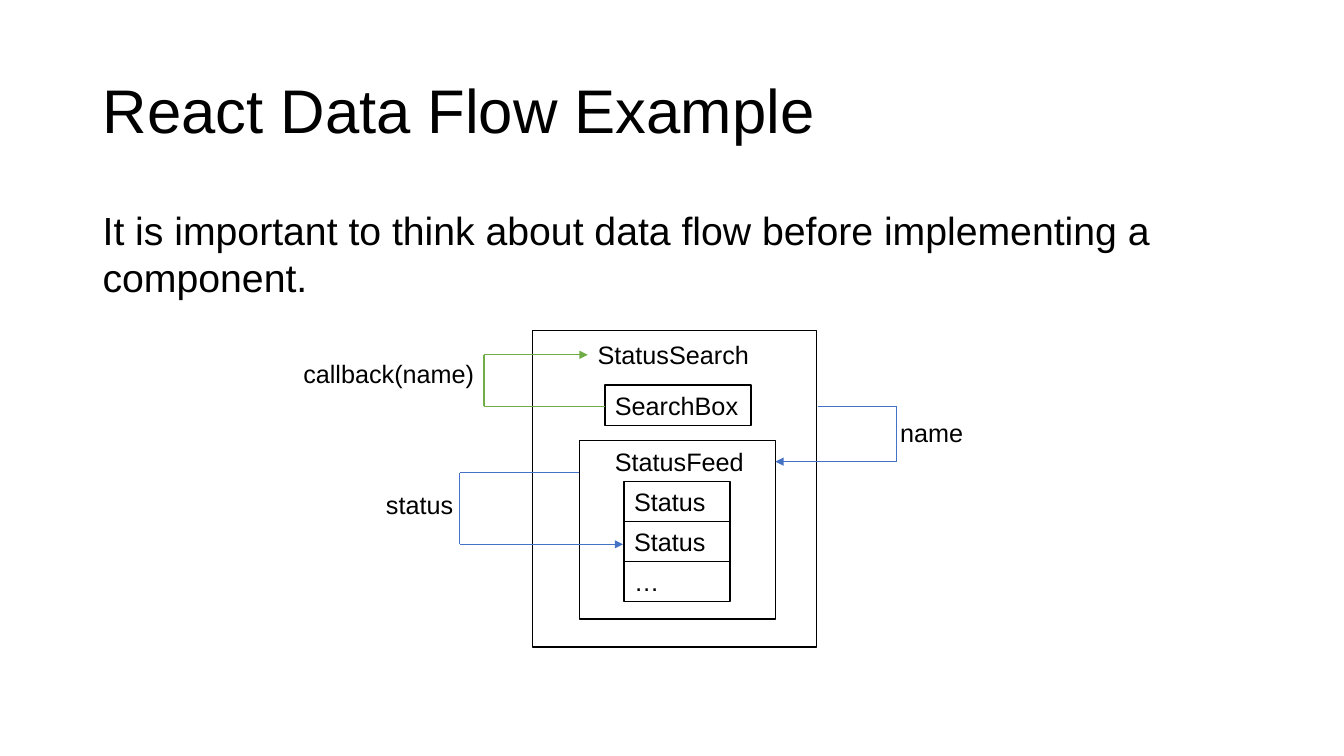
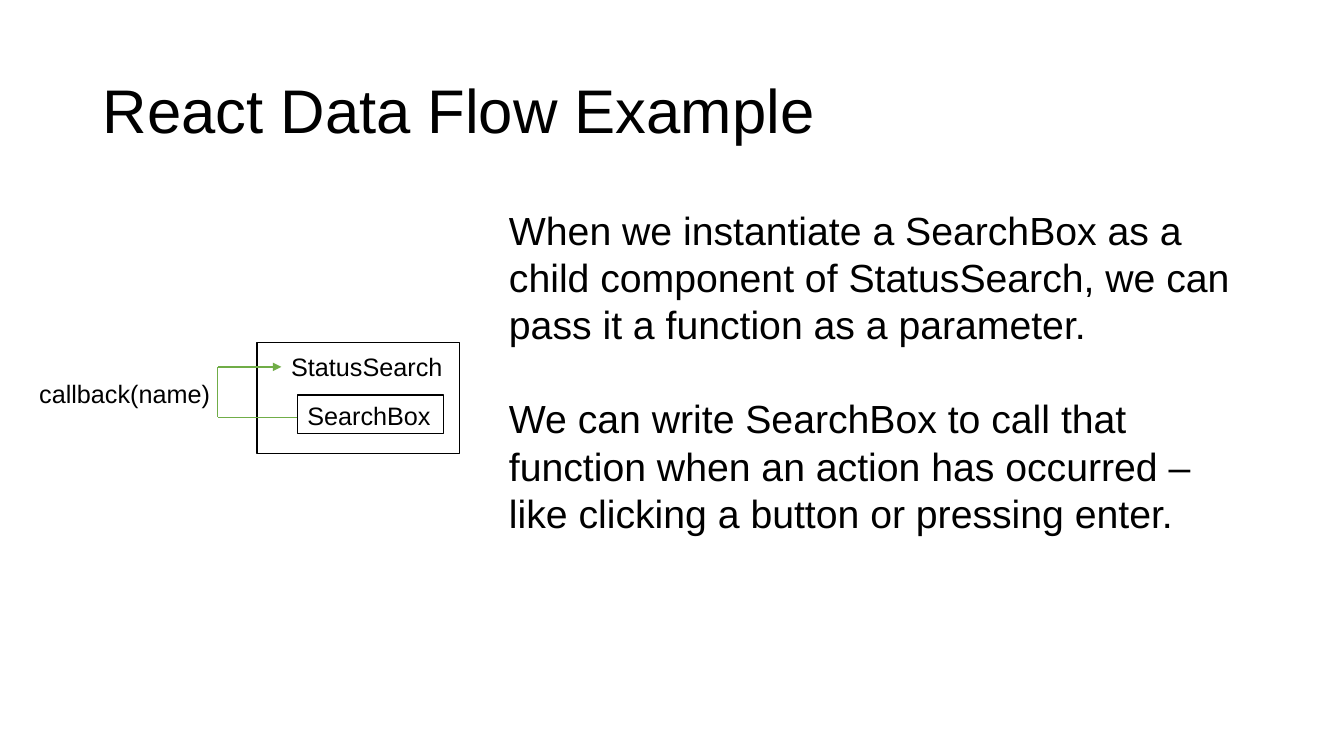
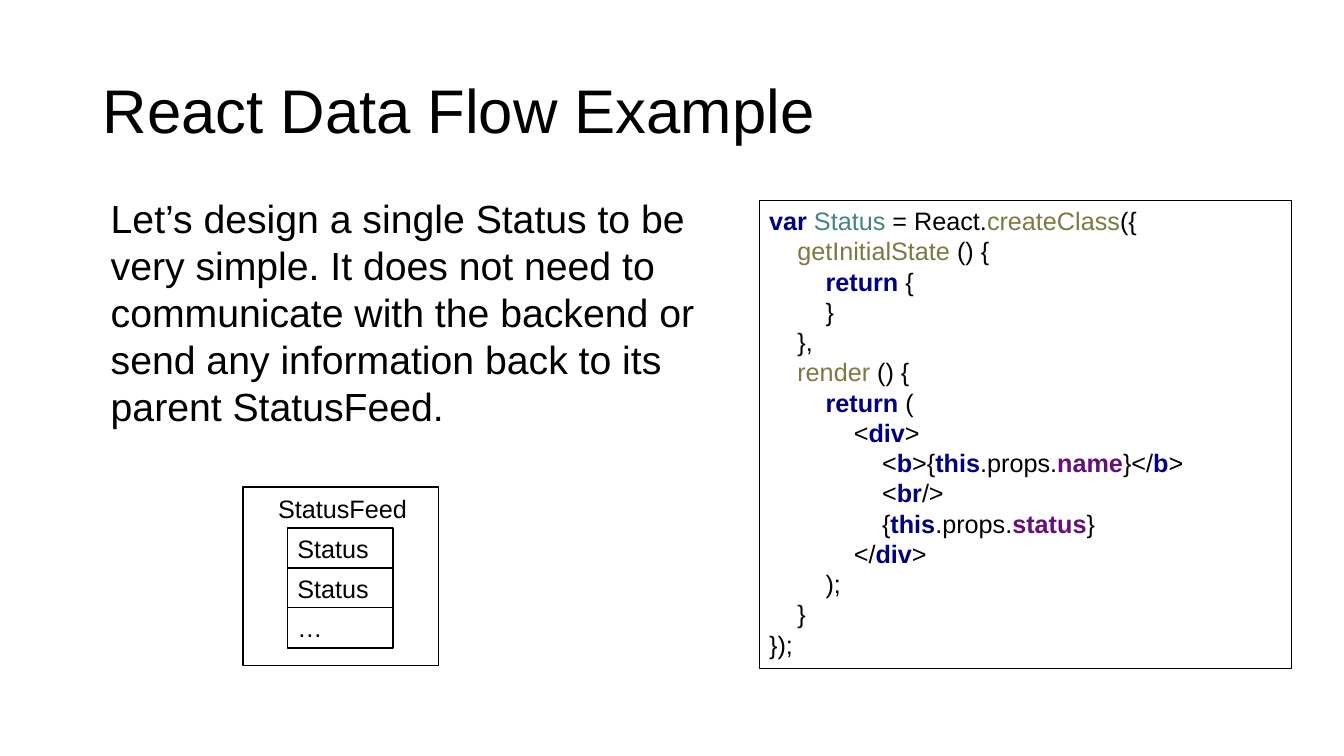
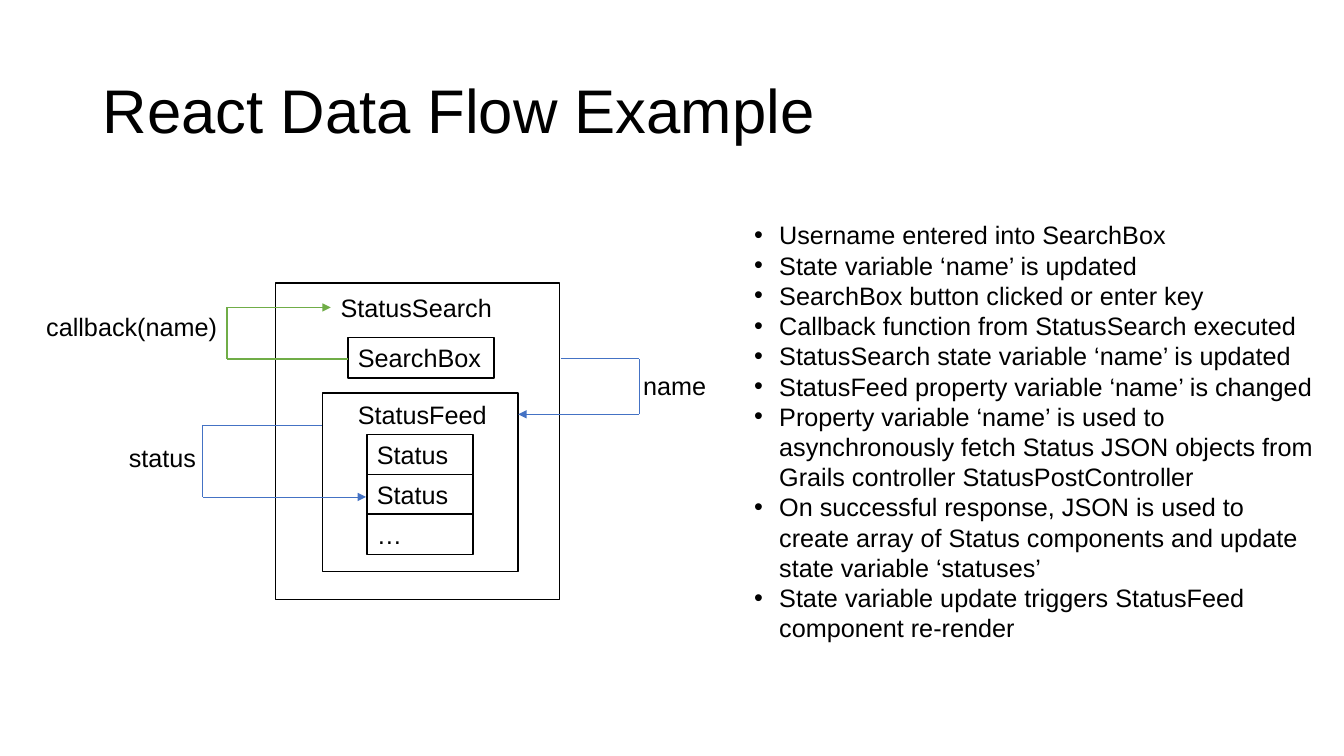
from lxml import etree
from pptx import Presentation
from pptx import util as u
from pptx.dml.color import RGBColor
from pptx.enum import shapes, text
from pptx.oxml import ns

FONT = "Arial"
BLACK, WHITE, BLUE, GREEN = "000000", "FFFFFF", "4472C4", "70AD47"
TITLE = "React Data Flow Example"
DATA_FLOW = ["It is important to think about data flow before implementing a component."]
CALLBACKS = [
    "When we instantiate a SearchBox as a child component of StatusSearch, we can pass it a function as a parameter.",
    "We can write SearchBox to call that function when an action has occurred – like clicking a button or pressing enter.",
]
SINGLE_STATUS = [
    "Let’s design a single Status to be very simple. It does not need to communicate with the backend "
    "or send any information back to its parent StatusFeed.",
]
STEPS = [
    "Username entered into SearchBox",
    "State variable ‘name’ is updated",
    "SearchBox button clicked or enter key",
    "Callback function from StatusSearch executed",
    "StatusSearch state variable ‘name’ is updated",
    "StatusFeed property variable ‘name’ is changed",
    "Property variable ‘name’ is used to asynchronously fetch Status JSON objects from Grails controller StatusPostController",
    "On successful response, JSON is used to create array of Status components and update state variable ‘statuses’",
    "State variable update triggers StatusFeed component re-render",
]
FEED_ROWS = ["Status", "Status", "…"]

SYNTAX = {
    "plain": (BLACK, False),
    "keyword": ("000080", True),
    "class": ("458383", False),
    "function": ("7A7A43", False),
    "property": ("660E7A", True),
}
CODE = [
    (0, [("var ", "keyword"), ("Status ", "class"), ("= React.", "plain"), ("createClass", "function"), ("({", "plain")]),
    (1, [("getInitialState ", "function"), ("() {", "plain")]),
    (2, [("return ", "keyword"), ("{", "plain")]),
    (2, [("}", "plain")]),
    (1, [("},", "plain")]),
    (1, [("render ", "function"), ("() {", "plain")]),
    (2, [("return ", "keyword"), ("(", "plain")]),
    (3, [("<", "plain"), ("div", "keyword"), (">", "plain")]),
    (4, [("<", "plain"), ("b", "keyword"), (">{", "plain"), ("this", "keyword"), (".props.", "plain"),
         ("name", "property"), ("}</", "plain"), ("b", "keyword"), (">", "plain")]),
    (4, [("<", "plain"), ("br", "keyword"), ("/>", "plain")]),
    (4, [("{", "plain"), ("this", "keyword"), (".props.", "plain"), ("status", "property"), ("}", "plain")]),
    (3, [("</", "plain"), ("div", "keyword"), (">", "plain")]),
    (2, [(");", "plain")]),
    (1, [("}", "plain")]),
    (0, [("});", "plain")]),
]
CODE_INDENT = 0.28


def colour(value):
    return RGBColor.from_string(value)


def add_run(paragraph, words, size, ink=BLACK, bold=False):
    run = paragraph.add_run()
    run.text = words
    run.font.name, run.font.size, run.font.bold = FONT, u.Pt(size), bold
    run.font.color.rgb = colour(ink)


def indent(paragraph, left, bullet=None):
    properties = paragraph._p.get_or_add_pPr()
    properties.set("marL", str(u.Inches(left)))
    if bullet:
        properties.set("indent", str(-u.Inches(left)))
        etree.SubElement(properties, ns.qn("a:buFont")).set("typeface", FONT)
        etree.SubElement(properties, ns.qn("a:buChar")).set("char", bullet)


def write(shape, lines, size=18, wrap=True, anchor="TOP", spacing=None, gap=0, bullet=None):
    frame = shape.text_frame
    frame.word_wrap = wrap
    frame.vertical_anchor = getattr(text.MSO_ANCHOR, anchor)
    for index, line in enumerate(lines):
        paragraph = frame.paragraphs[0] if index == 0 else frame.add_paragraph()
        paragraph.alignment = text.PP_ALIGN.LEFT
        if spacing:
            paragraph.line_spacing = spacing
        if index:
            paragraph.space_before = u.Pt(gap)
        if bullet:
            indent(paragraph, 0.25, bullet)
        add_run(paragraph, line, size)


def add_text(slide, lines, left, top, width, height, **formats):
    shape = slide.shapes.add_textbox(*map(u.Inches, (left, top, width, height)))
    write(shape, lines, **formats)


def add_box(slide, left, top, width, height, lines=()):
    shape = slide.shapes.add_shape(
        shapes.MSO_SHAPE.RECTANGLE, *map(u.Inches, (left, top, width, height)))
    shape.shadow.inherit = False
    shape.fill.solid()
    shape.fill.fore_color.rgb = colour(WHITE)
    shape.line.color.rgb = colour(BLACK)
    shape.line.width = u.Pt(1)
    write(shape, lines)
    return shape


def add_route(slide, points, ink, width):
    for start, end in zip(points, points[1:]):
        connector = slide.shapes.add_connector(
            shapes.MSO_CONNECTOR.STRAIGHT, *map(u.Inches, (*start, *end)))
        connector.line.color.rgb = colour(ink)
        connector.line.width = u.Pt(width)
        etree.SubElement(connector._element.spPr, ns.qn("a:effectLst"))
    etree.SubElement(connector.line._get_or_add_ln(), ns.qn("a:tailEnd")).set("type", "triangle")


def add_loop(slide, start, side, end, ink, width):
    add_route(slide, [start, (side, start[1]), (side, end[1]), end], ink, width)


def add_label(slide, words, left, top, width):
    add_text(slide, [words], left, top, width, 0.4, wrap=False)


def add_feed(slide, left, top):
    add_box(slide, left, top, 1.94, 1.77)
    add_text(slide, ["StatusFeed"], left + 0.25, top + 0.01, 2.11, 0.4)
    for index, row in enumerate(FEED_ROWS):
        add_box(slide, left + 0.44, top + 0.41 + 0.395 * index, 1.05, 0.4, [row])


def add_search(slide, left, top):
    add_box(slide, left, top, 2.82, 3.14)
    add_text(slide, ["StatusSearch"], left + 0.55, top + 0.04, 1.77, 0.4)
    add_box(slide, left + 0.72, top + 0.54, 1.45, 0.4, ["SearchBox"])
    add_feed(slide, left + 0.47, top + 1.09)
    add_loop(slide, (left + 2.83, top + 0.75), left + 3.61, (left + 2.41, top + 1.3), BLUE, 0.5)
    add_label(slide, "name", left + 3.55, top + 0.81, 0.83)
    add_loop(slide, (left + 0.46, top + 1.41), left - 0.72, (left + 0.9, top + 2.12), BLUE, 0.5)
    add_label(slide, "status", left - 1.55, top + 1.53, 0.88)
    add_loop(slide, (left + 0.72, top + 0.75), left - 0.48, (left + 0.55, top + 0.24), GREEN, 1)
    add_label(slide, "callback(name)", left - 2.37, top + 0.23, 1.91)


def add_code(slide, left, top, width, height):
    frame = add_box(slide, left, top, width, height).text_frame
    for index, (depth, tokens) in enumerate(CODE):
        paragraph = frame.paragraphs[0] if index == 0 else frame.add_paragraph()
        paragraph.alignment = text.PP_ALIGN.LEFT
        indent(paragraph, depth * CODE_INDENT)
        for words, kind in tokens:
            ink, bold = SYNTAX[kind]
            add_run(paragraph, words, 18, ink, bold)


def add_slide(presentation):
    slide = presentation.slides.add_slide(presentation.slide_layouts[6])
    add_text(slide, [TITLE], 0.92, 0.4, 11.5, 1.45, size=44, anchor="MIDDLE", spacing=0.9)
    return slide


def build_flow(slide):
    add_text(slide, DATA_FLOW, 0.92, 2, 11.5, 4.76, size=28)
    add_search(slide, 5.28, 3.28)


def build_callback(slide):
    add_text(slide, CALLBACKS, 4.95, 2, 7.46, 5.14, size=28, gap=33.6)
    add_box(slide, 2.55, 3.4, 2.01, 1.1)
    add_text(slide, ["StatusSearch"], 2.79, 3.44, 1.77, 0.38)
    add_box(slide, 2.95, 3.92, 1.45, 0.38, ["SearchBox"])
    add_loop(slide, (2.95, 4.14), 2.16, (2.79, 3.64), GREEN, 1)
    add_label(slide, "callback(name)", 0.29, 3.7, 1.91)


def build_status(slide):
    add_text(slide, SINGLE_STATUS, 1, 1.88, 6.14, 4.76, size=28)
    add_feed(slide, 2.41, 4.83)
    add_code(slide, 7.53, 1.99, 5.28, 4.64)


def build_steps(slide):
    add_text(slide, STEPS, 7.38, 2.13, 5.75, 4.76, bullet="•")
    add_search(slide, 2.73, 2.81)


def main():
    presentation = Presentation()
    presentation.slide_width, presentation.slide_height = u.Inches(13.33), u.Inches(7.5)
    for build in (build_flow, build_callback, build_status, build_steps):
        build(add_slide(presentation))
    presentation.save("out.pptx")


if __name__ == "__main__":
    main()
